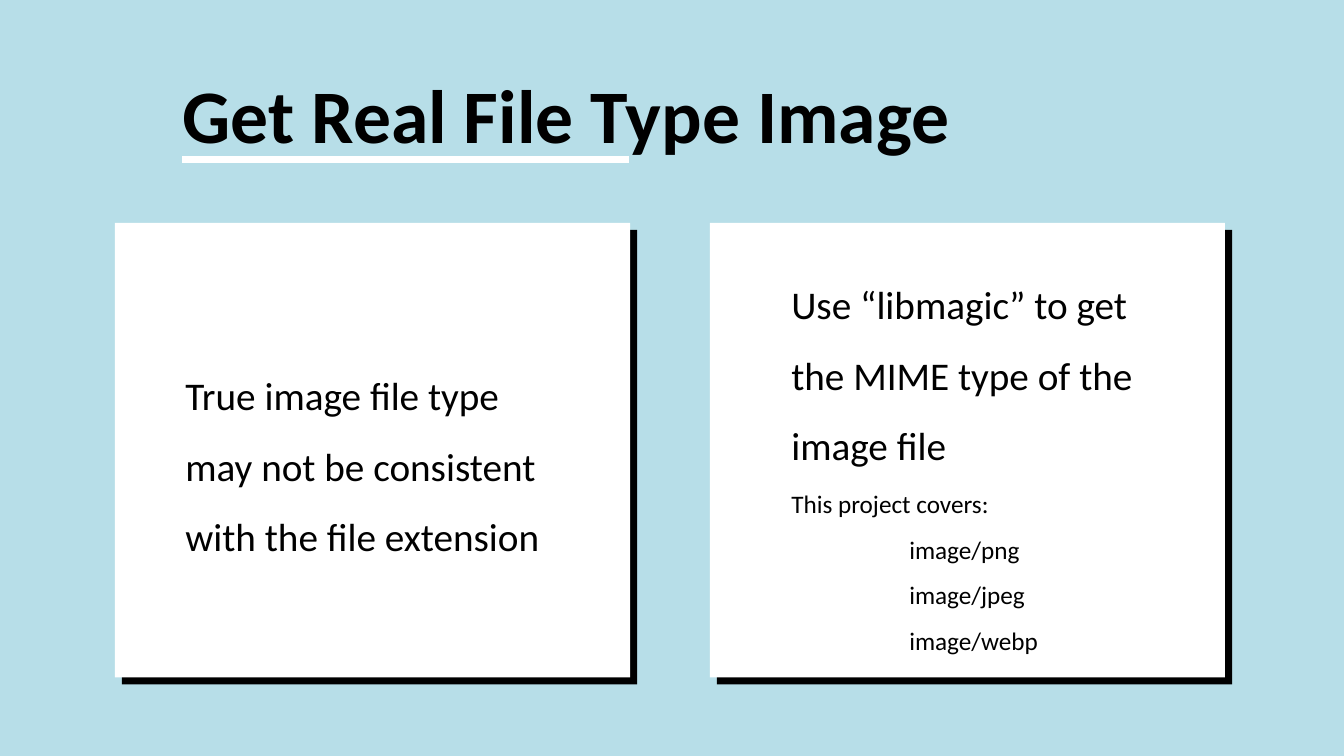
from lxml.etree import SubElement
from pptx import Presentation
from pptx.dml.color import RGBColor as Rgb
from pptx.enum.shapes import MSO_CONNECTOR as Connector, MSO_SHAPE as Preset
from pptx.enum.text import MSO_ANCHOR as Anchor, MSO_AUTO_SIZE as AutoSize, PP_ALIGN as Align
from pptx.oxml.ns import qn
from pptx.util import Pt

COLORS = {"sky": "B7DEE8", "ink": "000000", "paper": "FFFFFF"}
TITLE = {"size": Pt(54), "bold": True}
STATEMENT = {"size": Pt(28), "bold": False}
DETAIL = {"size": Pt(18), "bold": False}


class FileTypeSlide:
    """Hold the style and the current slide, measured at 100 px to the inch."""

    font_name = "Calibri"
    emu_per_px = 9144
    card_size = (511, 451)
    shadow_offset = 7

    def __init__(self, deck):
        deck.slide_width, deck.slide_height = self.px(1333, 750)
        self.slide = deck.slides.add_slide(deck.slide_layouts[5])
        self.paint(self.slide.background.fill, "sky")

    def px(self, *lengths):
        return [length * self.emu_per_px for length in lengths]

    def paint(self, fill, color):
        fill.solid()
        fill.fore_color.rgb = Rgb.from_string(COLORS[color])

    def style(self, paragraph, look):
        for name, value in {"name": self.font_name, **look}.items():
            setattr(paragraph.font, name, value)
        paragraph.font.color.rgb = Rgb.from_string(COLORS["ink"])

    def title(self, wording, box):
        heading = self.slide.shapes.title
        heading.left, heading.top, heading.width, heading.height = self.px(*box)
        frame = heading.text_frame
        layout = {"margin_left": 0, "margin_top": 0, "margin_right": 0,
                  "margin_bottom": 0, "word_wrap": True,
                  "auto_size": AutoSize.NONE, "vertical_anchor": Anchor.TOP}
        for name, value in layout.items():
            setattr(frame, name, value)
        frame.text = wording
        frame.paragraphs[0].alignment = Align.LEFT
        self.style(frame.paragraphs[0], TITLE)

    def underline(self, left, right, top):
        rule = self.slide.shapes.add_connector(
            Connector.STRAIGHT, *self.px(left, top, right, top))
        self.paint(rule.line.fill, "paper")
        rule.line.width = Pt(5)
        SubElement(rule.element.spPr, qn("a:effectLst"))

    def card(self, left, top):
        group = self.slide.shapes.add_group_shape()
        for color, offset in (("ink", self.shadow_offset), ("paper", 0)):
            panel = group.shapes.add_shape(
                Preset.RECTANGLE,
                *self.px(left + offset, top + offset, *self.card_size))
            panel.shadow.inherit = False
            self.paint(panel.fill, color)
            panel.line.fill.background()

    def text(self, lines, box, look, indent=0):
        frame = self.slide.shapes.add_textbox(*self.px(*box)).text_frame
        frame.word_wrap = True
        frame.text = "\n".join(lines)
        for index, paragraph in enumerate(frame.paragraphs):
            paragraph.line_spacing = 1.5
            if index and indent:
                paragraph._p.get_or_add_pPr().set("marL", str(self.px(indent)[0]))
            self.style(paragraph, look)


def main():
    deck = Presentation()
    page = FileTypeSlide(deck)
    for card_left in (704, 114):
        page.card(card_left, 221)
    page.title("Get Real File Type Image", (181, 67, 945, 91))
    page.underline(181, 624, 158)
    page.text(["True image file type may not be consistent with the file extension"],
              (174, 340, 383, 215), STATEMENT)
    page.text(["Use “libmagic” to get the MIME type of the image file"],
              (775, 250, 369, 215), STATEMENT)
    page.text(["This project covers:", "image/png", "image/jpeg", "image/webp"],
              (775, 465, 369, 187), DETAIL, indent=117)
    deck.save("out.pptx")


if __name__ == "__main__":
    main()
